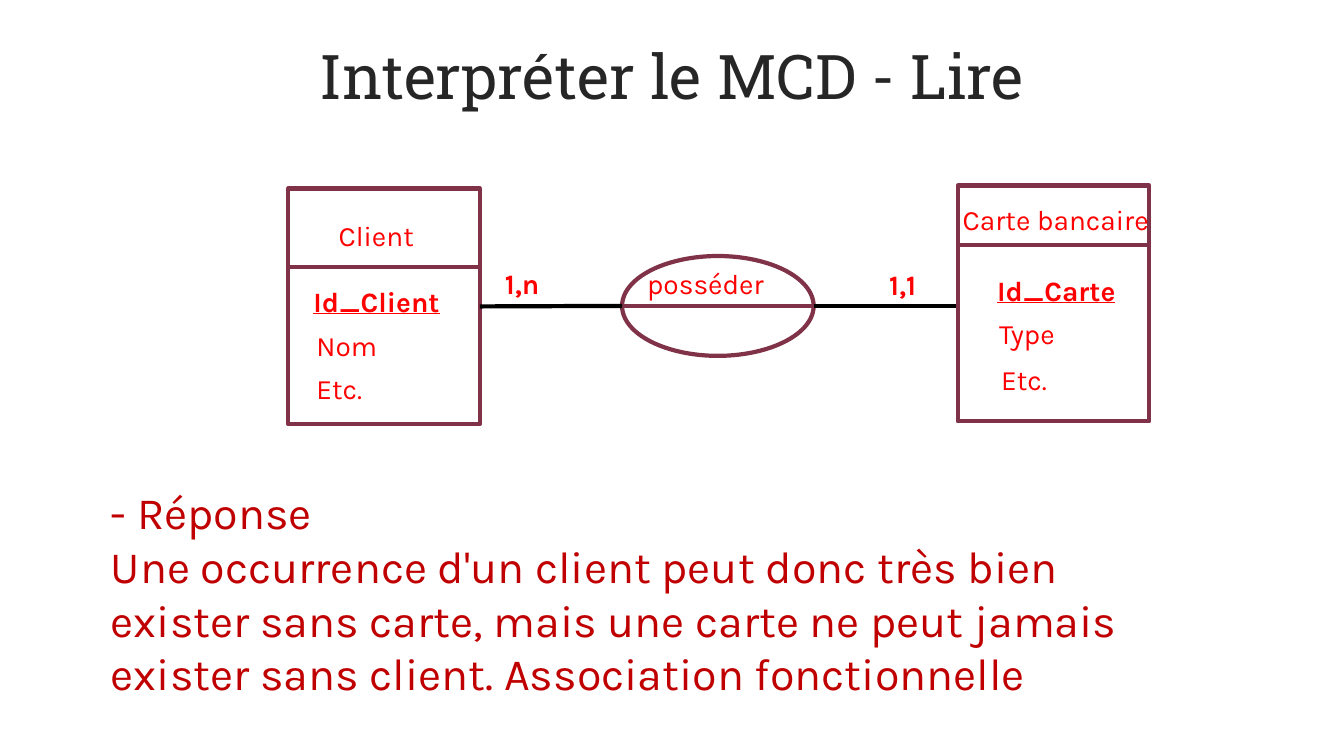
import pptx
import pptx.util
import pptx.dml.color
import pptx.enum.shapes
import pptx.enum.text
import lxml.etree

TITLE = "Interpréter le MCD - Lire"
ANSWER = [
    "- Réponse",
    "Une occurrence d'un client peut donc très bien",
    "exister sans carte, mais une carte ne peut jamais exister sans client. "
    "Association fonctionnelle",
]
# Entities: left, top, height of the name band
ENTITIES = {"client": (2.86, 1.87, 0.78), "card": (9.5, 1.84, 0.59)}
BOX_WIDTH, BOX_HEIGHT = 1.9, 2.34
ASSOCIATION = (6.17, 2.54, BOX_WIDTH, 0.99)
LINK_LENGTH = 1.41
# Labels: text, left, top, width, bold, underlined
LABELS = [
    ("posséder", 6.32, 2.59, 1.9, False, False),
    ("Client", 3.26, 2.12, 1.22, False, False),
    ("Carte bancaire", 9.45, 1.96, 2.41, False, False),
    ("1,1", 8.72, 2.6, 0.64, True, False),
    ("1,n", 4.91, 2.59, 0.64, True, False),
    ("Id_Client", 3.01, 2.77, 1.59, True, True),
    ("Nom", 3.04, 3.21, 1.59, False, False),
    ("Etc.", 3.04, 3.64, 1.59, False, False),
    ("Id_Carte", 9.79, 2.66, 1.59, True, True),
    ("Type", 9.81, 3.09, 1.59, False, False),
    ("Etc.", 9.83, 3.55, 1.59, False, False),
]
LABEL_HEIGHT = 0.44
PLUM, BLACK, RED, DARK_RED, GREY = "803348", "000000", "FF0000", "C00000", "262626"

inch = pptx.util.Inches
SHAPES = pptx.enum.shapes.MSO_SHAPE
ALIGN = pptx.enum.text.PP_ALIGN

deck = pptx.Presentation()
deck.slide_width, deck.slide_height = inch(13.33), inch(7.5)
slide = deck.slides.add_slide(deck.slide_layouts[1])


def color(hex_text):
    return pptx.dml.color.RGBColor.from_string(hex_text)


def place(holder, left, top, width, height):
    holder.left, holder.top = inch(left), inch(top)
    holder.width, holder.height = inch(width), inch(height)


def write(frame, lines, font, size, hex_text, align=ALIGN.LEFT, bold=False, underline=False):
    frame.word_wrap = True
    frame.auto_size = pptx.enum.text.MSO_AUTO_SIZE.NONE
    frame.vertical_anchor = pptx.enum.text.MSO_ANCHOR.TOP
    for index, line in enumerate(lines):
        paragraph = frame.add_paragraph() if index else frame.paragraphs[0]
        properties = paragraph._p.get_or_add_pPr()
        properties.set("marL", "0")
        properties.set("indent", "0")
        lxml.etree.SubElement(properties, pptx.oxml.ns.qn("a:buNone"))
        paragraph.alignment = align
        paragraph.space_before = pptx.util.Pt(0)
        run = paragraph.add_run()
        run.text = line
        run.font.name, run.font.size = font, pptx.util.Pt(size)
        run.font.color.rgb = color(hex_text)
        run.font.bold, run.font.underline = bold, underline


def outline(kind, left, top, width, height):
    shape = slide.shapes.add_shape(kind, inch(left), inch(top), inch(width), inch(height))
    shape.shadow.inherit = False
    shape.fill.solid()
    shape.fill.fore_color.rgb = color("FFFFFF")
    shape.line.color.rgb = color(PLUM)
    shape.line.width = pptx.util.Pt(3)
    return shape


def rule(left, y, length, hex_text):
    line = slide.shapes.add_connector(
        pptx.enum.shapes.MSO_CONNECTOR.STRAIGHT, inch(left), inch(y), inch(left + length), inch(y))
    line.line.color.rgb = color(hex_text)
    line.line.width = pptx.util.Pt(3)
    lxml.etree.SubElement(line._element.spPr, pptx.oxml.ns.qn("a:effectLst"))
    return line


# Title and answer
title, answer = slide.shapes.title, slide.placeholders[1]
place(title, 1.42, 0.33, 10.5, 1.43)
write(title.text_frame, [TITLE], "Roboto Slab", 44, GREY, ALIGN.CENTER)
place(answer, 1, 4.76, 11.48, 2.26)
write(answer.text_frame, ANSWER, "Karla", 32, DARK_RED)

# Entities with their name bands
boxes = {}
for entity, (left, top, band) in ENTITIES.items():
    boxes[entity] = outline(SHAPES.RECTANGLE, left, top, BOX_WIDTH, BOX_HEIGHT)
    rule(left, top + band, BOX_WIDTH, PLUM)

# Association and its links
left, top, width, height = ASSOCIATION
middle = top + height / 2
outline(SHAPES.OVAL, *ASSOCIATION)
rule(left, middle, width, PLUM)
client_link = rule(left - LINK_LENGTH, middle, LINK_LENGTH, BLACK)
client_link.begin_connect(boxes["client"], 3)
rule(left + width, middle, LINK_LENGTH, BLACK)

# Names, attributes and cardinalities
for text, left, top, width, bold, underline in LABELS:
    label = slide.shapes.add_textbox(inch(left), inch(top), inch(width), inch(LABEL_HEIGHT))
    write(label.text_frame, [text], "Karla", 20, RED, bold=bold, underline=underline)

deck.save("out.pptx")
